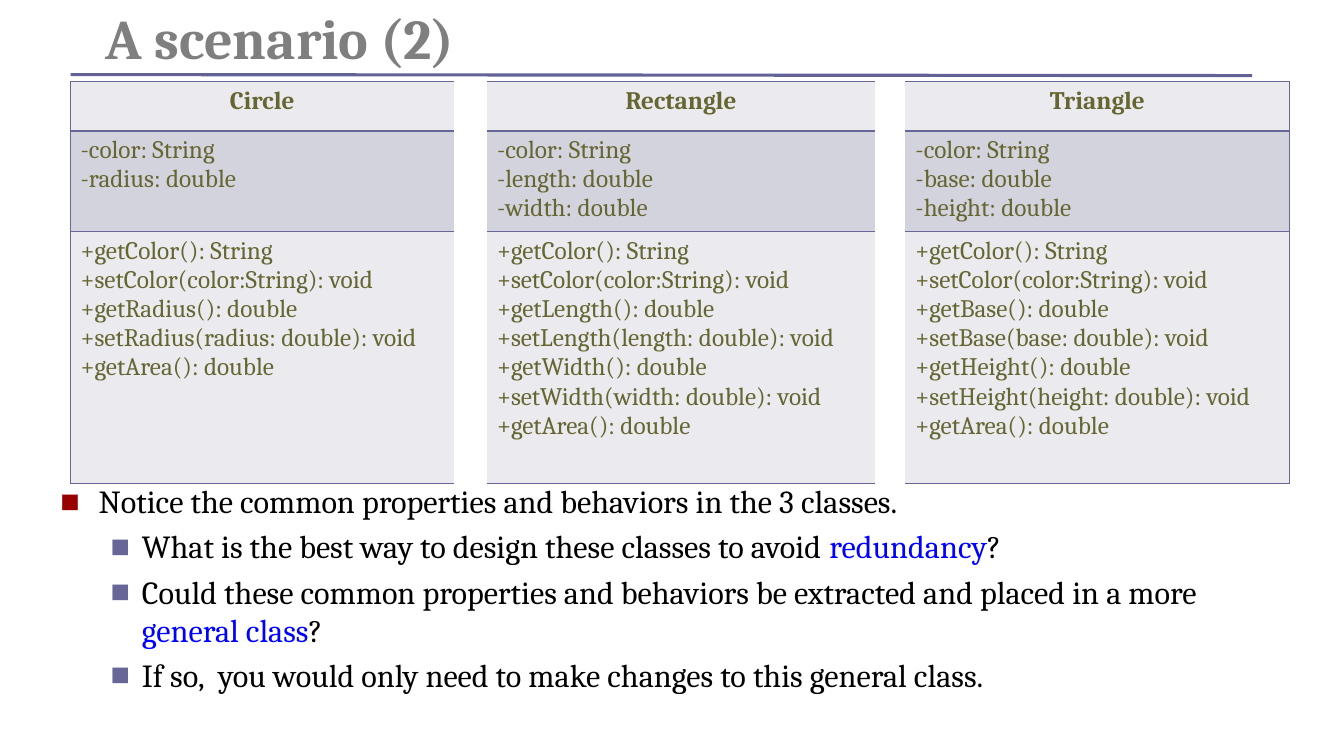
"""Build the slide comparing the Circle, Rectangle and Triangle classes."""
from dataclasses import dataclass

from lxml import etree
from pptx import Presentation
from pptx.dml.color import RGBColor
from pptx.enum.shapes import MSO_CONNECTOR
from pptx.enum.text import MSO_ANCHOR, PP_ALIGN
from pptx.oxml.ns import qn
from pptx.slide import Slide
from pptx.table import _Cell
from pptx.text.text import TextFrame, _Paragraph
from pptx.util import Inches, Pt

STRAIGHT = MSO_CONNECTOR.STRAIGHT
BOTTOM = MSO_ANCHOR.BOTTOM
CENTER = PP_ALIGN.CENTER

FONT = "Cambria"
GRAY = RGBColor(0x7F, 0x7F, 0x7F)
BLACK = RGBColor(0x00, 0x00, 0x00)
BLUE = RGBColor(0x00, 0x00, 0xFF)
RED = RGBColor(0x99, 0x00, 0x00)
PURPLE = RGBColor(0x66, 0x66, 0x99)
RULE_PURPLE = RGBColor(0x62, 0x62, 0x97)
OLIVE = RGBColor(0x66, 0x66, 0x33)
PALE = RGBColor(0xEA, 0xEA, 0xEF)
BAND = RGBColor(0xD3, 0xD3, 0xDE)

COLUMN_WIDTHS = (3.8, 0.33, 3.85, 0.3, 3.81)
ROW_HEIGHTS = (0.49, 1, 2.5)
ROW_FILLS = (PALE, BAND, PALE)


@dataclass(frozen=True)
class ClassBox:
    name: str
    fields: tuple[str, ...]

    def sections(self) -> list[list[str]]:
        """Return the name, field and method lines of the class."""
        methods = ["+getColor(): String", "+setColor(color:String): void"]
        for field in self.fields:
            title = field.capitalize()
            methods += [f"+get{title}(): double", f"+set{title}({field}: double): void"]
        return [
            [self.name],
            ["-color: String"] + [f"-{field}: double" for field in self.fields],
            methods + ["+getArea(): double"],
        ]


@dataclass(frozen=True)
class Point:
    level: int
    before: str
    term: str = ""
    after: str = ""


@dataclass(frozen=True)
class BulletStyle:
    margin: float
    hang: float
    color: RGBColor
    space_before: float


CLASSES = (
    ClassBox("Circle", ("radius",)),
    ClassBox("Rectangle", ("length", "width")),
    ClassBox("Triangle", ("base", "height")),
)
POINTS = (
    Point(0, "Notice the common properties and behaviors in the 3 classes."),
    Point(1, "What is the best way to design these classes to avoid ", "redundancy", "?"),
    Point(1, "Could these common properties and behaviors be extracted and placed in a more ",
          "general class", "?"),
    Point(1, "If so,  you would only need to make changes to this general class."),
)
BULLET_STYLES = (BulletStyle(0.38, 0.38, RED, 0), BulletStyle(0.81, 0.31, PURPLE, 4.6))


def add_run(paragraph: _Paragraph, text: str, size: float, color: RGBColor,
            bold: bool = False) -> None:
    """Append one formatted run."""
    run = paragraph.add_run()
    run.text = text
    run.font.name = FONT
    run.font.size = Pt(size)
    run.font.bold = bold
    run.font.color.rgb = color


def next_paragraph(frame: TextFrame, index: int) -> _Paragraph:
    """Return the first paragraph, or a new one after it."""
    return frame.add_paragraph() if index else frame.paragraphs[0]


def add_frame(slide: Slide, left: float, top: float, width: float, height: float) -> TextFrame:
    """Add a wrapping text box and return its frame."""
    box = slide.shapes.add_textbox(Inches(left), Inches(top), Inches(width), Inches(height))
    box.text_frame.word_wrap = True
    return box.text_frame


def set_bullet(paragraph: _Paragraph, style: BulletStyle) -> None:
    """Give a paragraph a hanging square bullet."""
    properties = paragraph._p.get_or_add_pPr()
    properties.set("marL", str(Inches(style.margin)))
    properties.set("indent", str(-Inches(style.hang)))
    color = etree.SubElement(properties, qn("a:buClr"))
    etree.SubElement(color, qn("a:srgbClr"), val=str(style.color))
    etree.SubElement(properties, qn("a:buFont"), typeface="Arial")
    etree.SubElement(properties, qn("a:buChar"), char="■")


def set_borders(cell: _Cell, sides: str) -> None:
    """Draw the listed sides of a cell and clear the others."""
    properties = cell._tc.get_or_add_tcPr()
    for side in "LRTB":
        line = etree.SubElement(properties, qn(f"a:ln{side}"), w=str(Pt(1)))
        if side in sides:
            fill = etree.SubElement(line, qn("a:solidFill"))
            etree.SubElement(fill, qn("a:srgbClr"), val=str(PURPLE))
        else:
            etree.SubElement(line, qn("a:noFill"))


def add_title(slide: Slide) -> None:
    """Add the heading."""
    frame = add_frame(slide, 0.95, 0, 10.16, 0.75)
    frame.vertical_anchor = BOTTOM
    heading = frame.paragraphs[0]
    heading.line_spacing = 0.8
    add_run(heading, "A scenario (2)", 40, GRAY, bold=True)


def add_points(slide: Slide) -> None:
    """Add the bulleted remarks."""
    frame = add_frame(slide, 0.5, 4.73, 12.17, 2.45)
    for index, point in enumerate(POINTS):
        style = BULLET_STYLES[point.level]
        paragraph = next_paragraph(frame, index)
        paragraph.level = point.level
        set_bullet(paragraph, style)
        paragraph.space_before = Pt(style.space_before)
        for text, color in ((point.before, BLACK), (point.term, BLUE), (point.after, BLACK)):
            if text:
                add_run(paragraph, text, 23, color)


def add_classes(slide: Slide) -> None:
    """Add the table of class boxes, with empty columns between them."""
    table = slide.shapes.add_table(
        len(ROW_HEIGHTS), len(COLUMN_WIDTHS), Inches(0.7), Inches(0.81),
        Inches(sum(COLUMN_WIDTHS)), Inches(sum(ROW_HEIGHTS))).table
    table.first_row = table.horz_banding = False
    for column, width in zip(table.columns, COLUMN_WIDTHS):
        column.width = Inches(width)
    for row_index, height in enumerate(ROW_HEIGHTS):
        table.rows[row_index].height = Inches(height)
        for column_index in range(len(COLUMN_WIDTHS)):
            cell = table.cell(row_index, column_index)
            if column_index % 2:
                set_borders(cell, "")
                cell.fill.background()
                continue
            set_borders(cell, {0: "LTB", 4: "RTB"}.get(column_index, "TB"))
            cell.fill.solid()
            cell.fill.fore_color.rgb = ROW_FILLS[row_index]
            lines = CLASSES[column_index // 2].sections()[row_index]
            for index, text in enumerate(lines):
                paragraph = next_paragraph(cell.text_frame, index)
                if row_index == 0:
                    paragraph.alignment = CENTER
                add_run(paragraph, text, 18, OLIVE, bold=row_index == 0)


def add_title_rule(slide: Slide) -> None:
    """Add the line under the heading."""
    rule = slide.shapes.add_connector(
        STRAIGHT, Inches(0.7), Inches(0.74), Inches(12.42), Inches(0.75))
    rule.line.color.rgb = RULE_PURPLE
    rule.line.width = Pt(2.25)
    etree.SubElement(rule._element.spPr, qn("a:effectLst"))


def main() -> None:
    """Build and save the slide."""
    deck = Presentation()
    deck.slide_width, deck.slide_height = Inches(13.33), Inches(7.5)
    slide = deck.slides.add_slide(deck.slide_layouts[6])
    add_title(slide)
    add_points(slide)
    add_classes(slide)
    add_title_rule(slide)
    deck.save("out.pptx")


if __name__ == "__main__":
    main()
